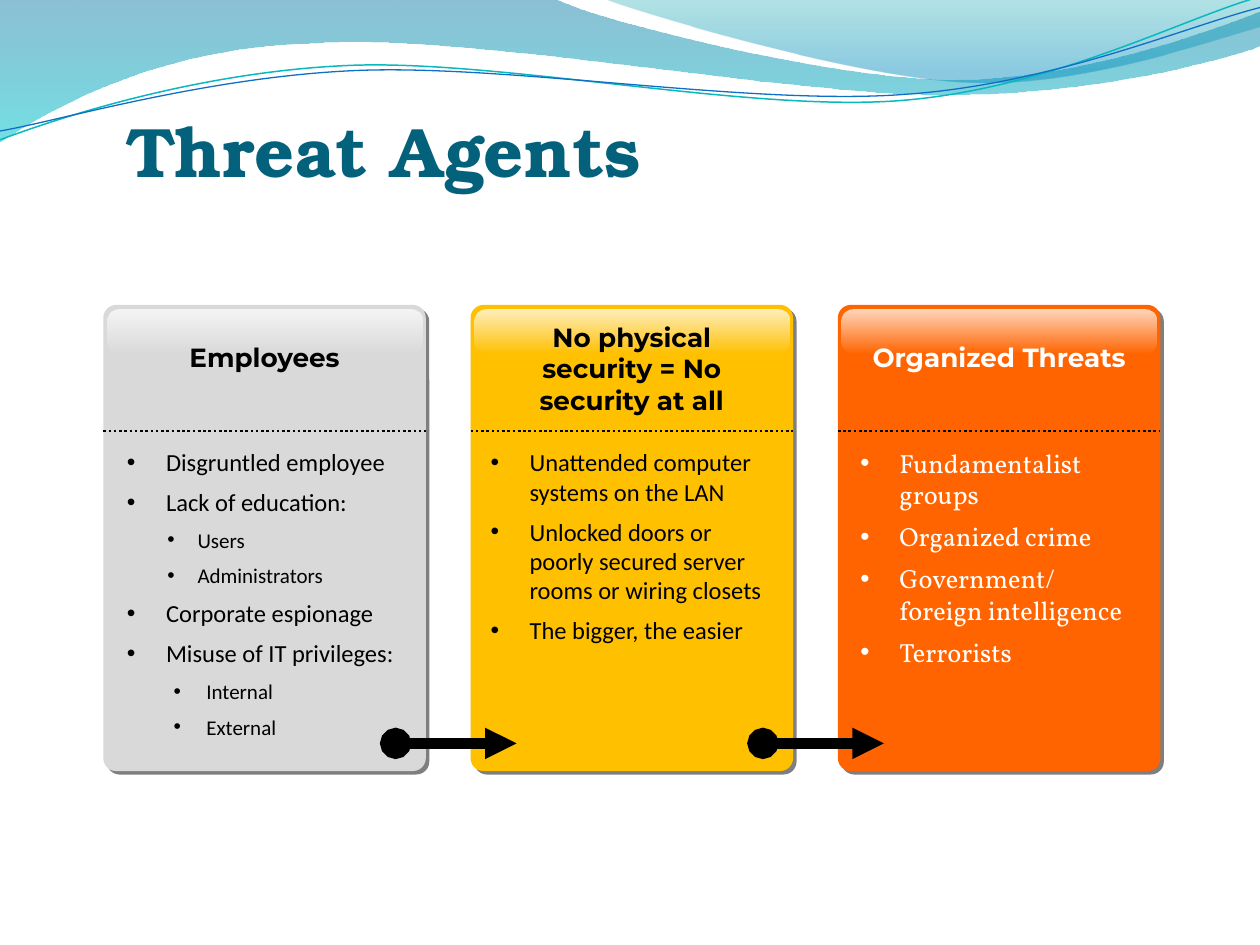
from lxml import etree
from pptx import Presentation
from pptx.dml.color import RGBColor
from pptx.enum import dml, shapes, text
from pptx.oxml.ns import qn
from pptx.util import Emu, Inches, Pt

THEME = {
    "title": ("TeX Gyre Bonum", 40, "04617B"),
    "heading": ("Montserrat", 15),
    "sub_size": 12,
    "ink": "000000",
    "gloss": "FFFFFF",
}

TITLE = "Threat Agents"
# List levels: outline level, left indent, hanging indent
MAIN, SUB, DEEP_SUB = (0, 0.31, 0.31), (1, 0.56, 0.24), (1, 0.63, 0.26)
# heading_box: top, width, height; list_box: offset from the card, width, height
CARDS = [
    {"heading": "Employees", "heading_box": (2.66, 1.83, 0.35),
     "fill": "D9D9D9", "color": "000000",
     "font": ("Calibri", 14), "list_box": (0.09, 2.46, 2.44),
     "items": [("Disgruntled employee", MAIN), ("Lack of education:", MAIN),
               ("Users", SUB), ("Administrators", SUB),
               ("Corporate espionage", MAIN), ("Misuse of IT privileges:", MAIN),
               ("Internal", DEEP_SUB), ("External", DEEP_SUB)]},
    {"heading": "No physical security = No security at all", "heading_box": (2.5, 2.24, 0.86),
     "fill": "FFC000", "color": "000000",
     "font": ("Calibri", 14), "list_box": (0.06, 2.48, 1.68),
     "items": [("Unattended computer systems on the LAN", MAIN),
               ("Unlocked doors or poorly secured server rooms or wiring closets", MAIN),
               ("The bigger, the easier", MAIN)]},
    {"heading": "Organized Threats", "heading_box": (2.66, 2.32, 0.35),
     "fill": "FF6400", "color": "FFFFFF",
     "font": ("Vollkorn", 15), "list_box": (0.08, 2.38, 2.12),
     "items": [("Fundamentalist groups", MAIN), ("Organized crime", MAIN),
               ("Government/foreign intelligence", MAIN), ("Terrorists", MAIN)]},
]

# Wave outlines: a start point, then line ends (2 numbers) or Bézier curves (6 numbers).
# Gradient stops: position, colour, opacity in percent
WAVES = [
    {"outline": [(0, 0), (4.4, -0.01), (4.76, 0.17, 6.64, 0.63, 7.58, 0.63),
                 (8.53, 0.63, 9.58, 0.26, 10, 0.09), (10.01, 0.36),
                 (9.83, 0.44, 8.7, 0.76, 7.46, 0.75), (6.22, 0.75, 3.82, 0.28, 2.57, 0.34),
                 (1.29, 0.36, 0.46, 0.83, -0.01, 1.13), (0, 0)],
     "stops": [(0, "0074A1", 45), (1, "00C6CF", 55)]},
    {"outline": [(4.79, -0.01), (5.09, 0.11, 6.82, 0.62, 7.69, 0.65),
                 (8.56, 0.69, 9.61, 0.32, 10, 0.21), (10, 0), (4.79, -0.01)],
     "stops": [(0, "00A1A9", 30), (0.8, "008BBF", 45)]},
    {"outline": [(0, 1.11), (0.48, 0.93, 1.58, 0.57, 2.77, 0.52),
                 (3.95, 0.47, 5.93, 0.89, 7.13, 0.8), (8.33, 0.71, 9.38, 0.15, 9.98, -0.02)],
     "line": ("0AB8BF", 0.85)},
    {"outline": [(0, 1.04), (0.47, 0.96, 1.64, 0.61, 2.83, 0.56),
                 (4.03, 0.51, 5.97, 0.84, 7.17, 0.75), (8.36, 0.67, 9.41, 0.21, 10, 0.06)],
     "line": ("0F6FC6", 0.75)},
]
GLOSS_STOPS = [(0, THEME["gloss"], 75), (1, THEME["gloss"], 0)]

FIRST_LEFT, LAST_LEFT = 0.82, 6.65
CARD_TOP, CARD_WIDTH, CARD_HEIGHT = 2.42, 2.56, 3.7
DIVIDER_Y, LIST_TOP, ARROW_Y = 3.42, 3.5, 5.9


def box(*lengths):
    return [Inches(length) for length in lengths]


def add_xml(parent, tag, **attributes):
    return etree.SubElement(parent, qn(tag), {k: str(v) for k, v in attributes.items()})


def set_font(font, name, size, color, bold=False):
    font.name, font.size, font.bold = name, Pt(size), bold
    font.color.rgb = RGBColor.from_string(color)


def set_gradient(shape, stops):
    """Fill from top to bottom with partly transparent colours."""
    shape.fill.gradient()
    shape.fill.gradient_angle = 270
    for stop, (position, color, _) in zip(shape.fill.gradient_stops, stops):
        stop.position = position
        stop.color.rgb = RGBColor.from_string(color)
    for element, (_, _, opacity) in zip(shape._element.spPr.iter(qn("a:srgbClr")), stops):
        add_xml(element, "a:alpha", val=opacity * 1000)


def bend_segments(shape, outline):
    """Join each three line ends that belong to one curve into a Bézier segment."""
    line_ends = iter(list(shape._element.spPr.iter(qn("a:lnTo"))))
    for segment in outline[1:]:
        ends = [next(line_ends) for _ in range(len(segment) // 2)]
        if len(ends) == 3:
            curve = etree.Element(qn("a:cubicBezTo"))
            ends[0].addprevious(curve)
            for end in ends:
                curve.append(end[0])
                end.getparent().remove(end)


def add_wave(slide, wave):
    outline = wave["outline"]
    points = [tuple(box(*segment[i:i + 2])) for segment in outline
              for i in range(0, len(segment), 2)]
    builder = slide.shapes.build_freeform(*points[0], scale=1.0)
    builder.add_line_segments(points[1:], close="stops" in wave)
    shape = builder.convert_to_shape(Emu(0), Emu(0))
    bend_segments(shape, outline)
    shape.shadow.inherit = False
    if "stops" in wave:
        set_gradient(shape, wave["stops"])
        shape.line.fill.background()
    else:
        color, width = wave["line"]
        shape.fill.background()
        shape.line.color.rgb = RGBColor.from_string(color)
        shape.line.width = Pt(width)


def add_panel(slide, left, top, width, height, corner):
    shape = slide.shapes.add_shape(shapes.MSO_SHAPE.ROUNDED_RECTANGLE,
                                   *box(left, top, width, height))
    shape.adjustments[0] = corner
    shape.shadow.inherit = False
    shape.line.fill.background()
    return shape


def add_card(slide, card, left):
    panel = add_panel(slide, left, CARD_TOP, CARD_WIDTH, CARD_HEIGHT, 0.04)
    panel.fill.solid()
    panel.fill.fore_color.rgb = RGBColor.from_string(card["fill"])
    effects = panel._element.spPr.find(qn("a:effectLst"))
    shadow = add_xml(effects, "a:outerShdw", dist=Pt(2.8), dir=45 * 60000,
                     algn="ctr", rotWithShape=0)
    shadow_color = add_xml(shadow, "a:srgbClr", val=THEME["ink"])
    add_xml(shadow_color, "a:alpha", val=50000)
    gloss = add_panel(slide, left + 0.03, CARD_TOP + 0.04, CARD_WIDTH - 0.06, 0.34, 0.26)
    set_gradient(gloss, GLOSS_STOPS)


def add_line(slide, start_x, end_x, y, width):
    line = slide.shapes.add_connector(shapes.MSO_CONNECTOR.STRAIGHT,
                                      *box(start_x, y, end_x, y))
    line.line.color.rgb = RGBColor.from_string(THEME["ink"])
    line.line.width = Pt(width)
    add_xml(line._element.spPr, "a:effectLst")
    return line


def add_arrow(slide, start_x):
    arrow = add_line(slide, start_x, start_x + 0.96, ARROW_Y, 6)
    outline = arrow.line._get_or_add_ln()
    add_xml(outline, "a:headEnd", type="oval")
    add_xml(outline, "a:tailEnd", type="triangle")


def add_text_frame(slide, left, top, width, height):
    frame = slide.shapes.add_textbox(*box(left, top, width, height)).text_frame
    frame.word_wrap = True
    return frame


def add_heading(slide, card, left):
    top, width, height = card["heading_box"]
    frame = add_text_frame(slide, left + (CARD_WIDTH - width) / 2, top, width, height)
    paragraph = frame.paragraphs[0]
    paragraph.text = card["heading"]
    paragraph.alignment = text.PP_ALIGN.CENTER
    set_font(paragraph.font, *THEME["heading"], card["color"], bold=True)


def add_list(slide, card, left):
    offset, width, height = card["list_box"]
    frame = add_text_frame(slide, left + offset, LIST_TOP, width, height)
    name, main_size = card["font"]
    for index, (item, (level, indent, hanging)) in enumerate(card["items"]):
        paragraph = frame.add_paragraph() if index else frame.paragraphs[0]
        paragraph.text = item
        paragraph.level = level
        properties = paragraph._p.get_or_add_pPr()
        properties.set("marL", str(Inches(indent)))
        properties.set("indent", str(-Inches(hanging)))
        add_xml(properties, "a:buFont", typeface="Arial")
        add_xml(properties, "a:buChar", char="•")
        if index:
            paragraph.space_before = Pt(6)
        set_font(paragraph.font, name, THEME["sub_size"] if level else main_size, card["color"])


def add_title(slide):
    title = slide.shapes.title
    title.left, title.top, title.width, title.height = box(1, 0.8, 8.5, 0.72)
    frame = title.text_frame
    frame.margin_left = frame.margin_right = frame.margin_bottom = 0
    frame.vertical_anchor = text.MSO_ANCHOR.BOTTOM
    paragraph = frame.paragraphs[0]
    paragraph.text = TITLE
    paragraph.alignment = text.PP_ALIGN.LEFT
    set_font(paragraph.font, *THEME["title"], bold=True)


def main():
    presentation = Presentation()
    presentation.slide_width, presentation.slide_height = box(10, 7.5)
    slide = presentation.slides.add_slide(presentation.slide_layouts[5])
    for wave in WAVES:
        add_wave(slide, wave)
    add_title(slide)
    pitch = (LAST_LEFT - FIRST_LEFT) / (len(CARDS) - 1)
    lefts = [FIRST_LEFT + index * pitch for index in range(len(CARDS))]
    for card, left in zip(CARDS, lefts):
        add_card(slide, card, left)
    for left in lefts[:-1]:
        add_arrow(slide, left + CARD_WIDTH - 0.24)
    for card, left in zip(CARDS, lefts):
        divider = add_line(slide, left, left + CARD_WIDTH, DIVIDER_Y, 1.5)
        divider.line.dash_style = dml.MSO_LINE.ROUND_DOT
        add_heading(slide, card, left)
        add_list(slide, card, left)
    presentation.save("out.pptx")


if __name__ == "__main__":
    main()
